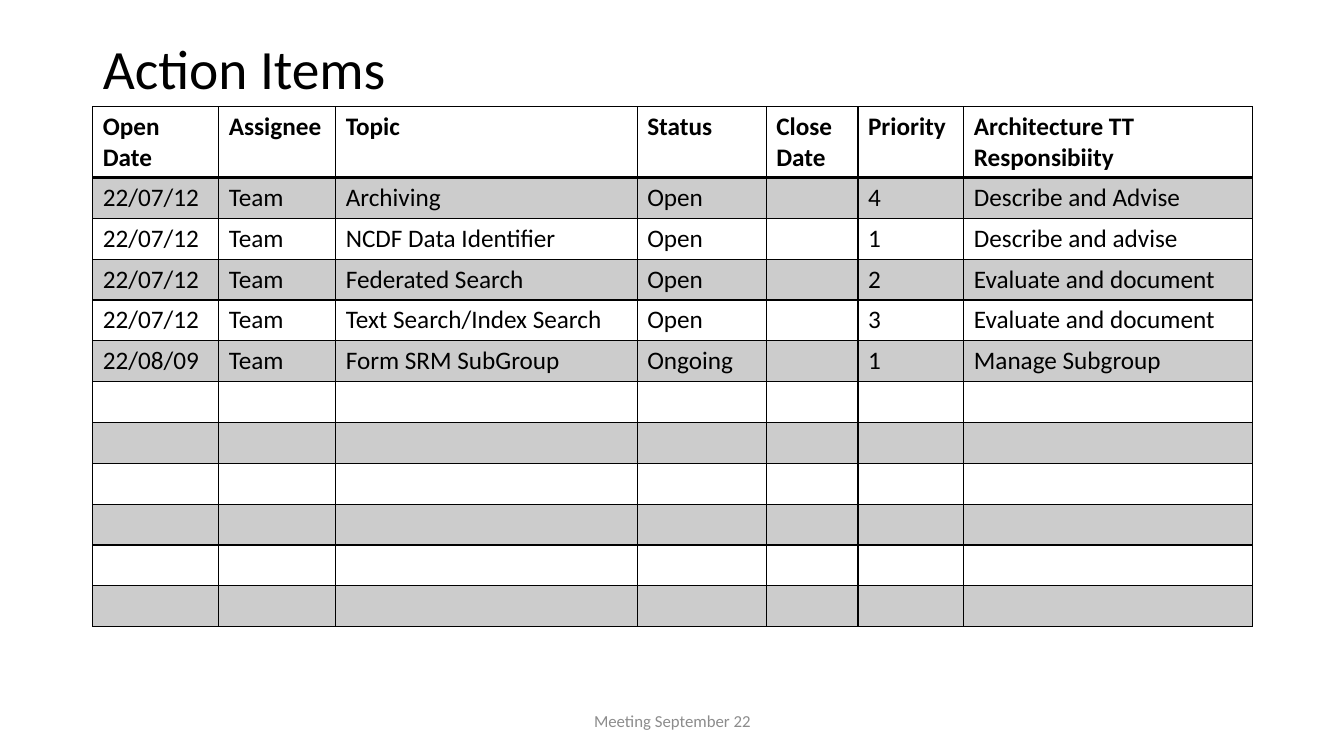
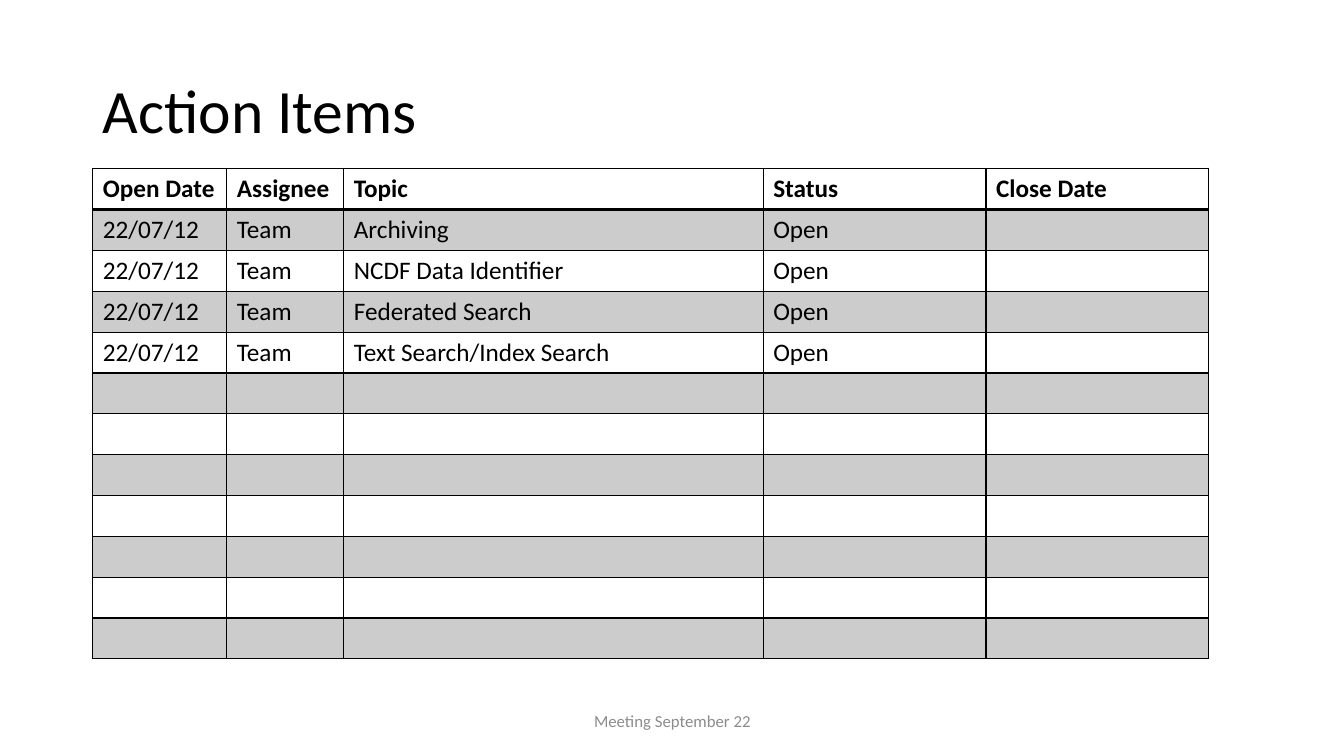
from lxml import etree
from pptx import Presentation
from pptx import util as u
from pptx.dml.color import RGBColor
from pptx.enum import text
from pptx.oxml.ns import qn


def colour(value):
    return RGBColor.from_string(value)


class Deck:
    FONT = "Calibri"
    BLACK = "000000"
    GREY = "8C8C8C"
    BAND_ALPHA = 20
    LEFT = 0.92
    BODY_HEIGHT = 4.46
    ROWS = 12

    def __init__(self):
        self.presentation = Presentation()
        self.presentation.slide_width = u.Inches(13.33)
        self.presentation.slide_height = u.Inches(7.5)
        self.slide = None

    def add_slide(self):
        layout = self.presentation.slide_layouts.get_by_name("Title Only")
        self.slide = self.presentation.slides.add_slide(layout)
        self.footer("Meeting September 22")

    def format(self, paragraph, size, value=BLACK, bold=False, align=text.PP_ALIGN.LEFT):
        paragraph.alignment = align
        font = paragraph.font
        font.name = self.FONT
        font.size = u.Pt(size)
        font.bold = bold
        font.color.rgb = colour(value)

    def title(self, words, height, size):
        title = self.slide.shapes.title
        title.left, title.top = u.Inches(self.LEFT), u.Inches(0.4)
        title.width, title.height = u.Inches(11.5), u.Inches(height)
        frame = title.text_frame
        frame.text = words
        frame.auto_size = text.MSO_AUTO_SIZE.NONE
        frame.vertical_anchor = text.MSO_ANCHOR.MIDDLE
        paragraph = frame.paragraphs[0]
        paragraph.line_spacing = 0.9
        self.format(paragraph, size)

    def footer(self, words):
        box = self.slide.shapes.add_textbox(
            u.Inches(4.42), u.Inches(6.95), u.Inches(4.5), u.Inches(0.4))
        frame = box.text_frame
        frame.word_wrap = True
        frame.vertical_anchor = text.MSO_ANCHOR.MIDDLE
        frame.text = words
        self.format(frame.paragraphs[0], 12, self.GREY, align=text.PP_ALIGN.CENTER)

    def borders(self, cell, bottom):
        properties = cell._tc.get_or_add_tcPr()
        for side, width in zip("LRTB", (1, 1, 1, bottom)):
            line = etree.SubElement(properties, qn(f"a:ln{side}"), w=str(u.Pt(width)))
            fill = etree.SubElement(line, qn("a:solidFill"))
            etree.SubElement(fill, qn("a:srgbClr"), val=self.BLACK)

    def band(self, cell):
        cell.fill.solid()
        cell.fill.fore_color.rgb = colour(self.BLACK)
        tint = cell._tc.tcPr.find(qn("a:solidFill")).find(qn("a:srgbClr"))
        etree.SubElement(tint, qn("a:alpha"), val=str(self.BAND_ALPHA * 1000))

    def table(self, top, header_height, widths, records):
        frame = self.slide.shapes.add_table(
            self.ROWS, len(widths), u.Inches(self.LEFT), u.Inches(top),
            u.Inches(sum(widths)), u.Inches(header_height + self.BODY_HEIGHT))
        table = frame.table
        table.first_row = table.horz_banding = False
        for column, width in zip(table.columns, widths):
            column.width = u.Inches(width)
        body_row = self.BODY_HEIGHT / (self.ROWS - 1)
        for index, row in enumerate(table.rows):
            row.height = u.Inches(body_row if index else header_height)
            record = records[index] if index < len(records) else [""] * len(widths)
            for cell, words in zip(row.cells, record):
                cell.text = words
                for paragraph in cell.text_frame.paragraphs:
                    self.format(paragraph, 18, bold=index == 0)
                self.borders(cell, bottom=1 if index else 2)
                if index % 2:
                    self.band(cell)
                else:
                    cell.fill.background()


def main():
    topics = ["Archiving", "NCDF Data Identifier", "Federated Search",
              "Text Search/Index Search"]
    items = [["22/07/12", "Team", topic, "Open", ""] for topic in topics]
    items_header = ["Open Date", "Assignee", "Topic", "Status"]
    duties = [
        ["4", "Describe and Advise"],
        ["1", "Describe and advise"],
        ["2", "Evaluate and document"],
        ["3", "Evaluate and document"],
    ]
    deck = Deck()

    deck.add_slide()
    deck.title("Action Items", 0.61, 39.6)
    deck.table(1.06, 0.7, [1.25, 1.16, 2.99, 1.28, 0.91, 1.05, 2.86], [
        items_header + ["Close\nDate", "Priority", "Architecture TT Responsibiity"],
        *[item + duty for item, duty in zip(items, duties)],
        ["22/08/09", "Team", "Form SRM SubGroup", "Ongoing", "", "1", "Manage Subgroup"],
    ])

    deck.add_slide()
    deck.title("Action Items", 1.45, 44)
    deck.table(1.67, 0.41, [1.33, 1.16, 4.16, 2.21, 2.21],
               [items_header + ["Close Date"], *items])

    deck.presentation.save("out.pptx")


if __name__ == "__main__":
    main()
